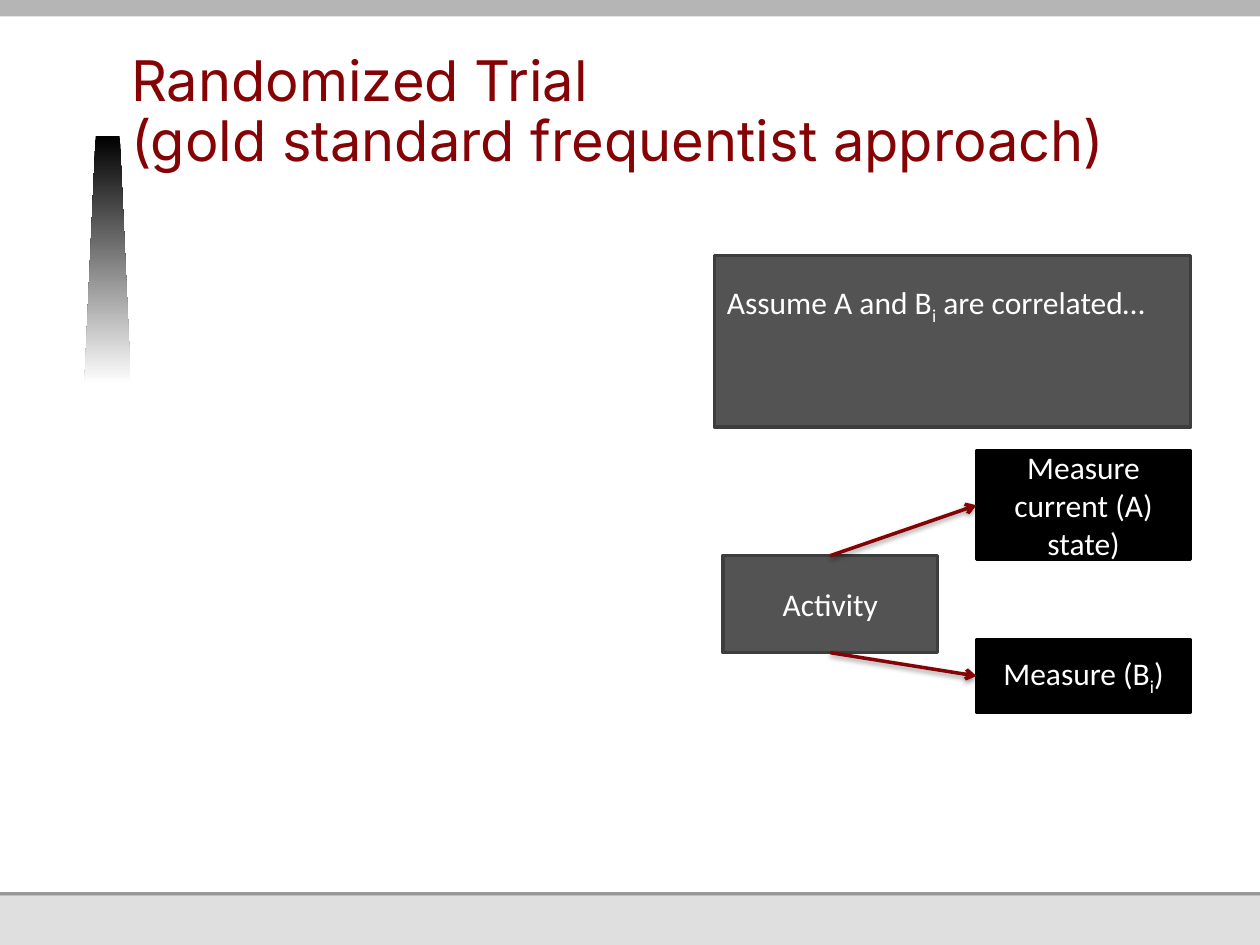
"""Build the randomized trial slide with its activity and measurement diagram."""
from dataclasses import dataclass

from lxml import etree
from pptx import Presentation
from pptx import util as u
from pptx.dml.color import RGBColor
from pptx.enum import shapes, text
from pptx.oxml import ns

MAROON, WHITE, BLACK = "850205", "FFFFFF", "000000"
GRAY, DARK_GRAY = "535353", "3D3D3D"
SUBSCRIPT = "-25000"
SHADOW = (
    f'<a:effectLst {ns.nsdecls("a")}>'
    '<a:outerShdw blurRad="39370" dist="20320" dir="5400000" rotWithShape="0">'
    f'<a:srgbClr val="{BLACK}"><a:alpha val="38000"/></a:srgbClr>'
    '</a:outerShdw></a:effectLst>'
)


@dataclass
class Band:
    top: float
    height: float
    fill: str


@dataclass
class Box:
    left: float
    top: float
    width: float
    height: float
    fill: str
    outline: str
    words: list[tuple[str, bool]]
    align: text.PP_ALIGN = text.PP_ALIGN.CENTER
    anchor: text.MSO_ANCHOR = text.MSO_ANCHOR.MIDDLE
    top_margin: float = 0.05


def color(value: str) -> RGBColor:
    return RGBColor.from_string(value)


def add_run(paragraph, words: str, font: str, size: int, fill: str, sub: bool = False) -> None:
    run = paragraph.add_run()
    run.text = words
    run.font.name = font
    run.font.size = u.Pt(size)
    run.font.color.rgb = color(fill)
    if sub:
        run.font._element.set("baseline", SUBSCRIPT)


def add_rect(slide, left: float, top: float, width: float, height: float, fill: str):
    rect = slide.shapes.add_shape(
        shapes.MSO_SHAPE.RECTANGLE, *map(u.Inches, (left, top, width, height)))
    rect.shadow.inherit = False
    rect.fill.solid()
    rect.fill.fore_color.rgb = color(fill)
    rect.line.fill.background()
    return rect


def add_beam(slide) -> None:
    corners = [(0.67, 3.05), (0.76, 1.08), (0.95, 1.08), (1.04, 3.05)]
    points = [(u.Inches(x), u.Inches(y)) for x, y in corners]
    outline = slide.shapes.build_freeform(*points[0])
    outline.add_line_segments(points[1:], close=True)
    beam = outline.convert_to_shape()
    beam.shadow.inherit = False
    beam.line.fill.background()
    beam.fill.gradient()
    beam.fill.gradient_angle = 270
    for stop, shade in zip(beam.fill.gradient_stops, (BLACK, WHITE)):
        stop.color.rgb = color(shade)


def add_title(slide, lines: list[str]) -> None:
    title = slide.shapes.title
    title.left, title.top, title.width, title.height = map(u.Inches, (1.04, 0.34, 8.96, 1.08))
    frame = title.text_frame
    frame.auto_size = text.MSO_AUTO_SIZE.NONE
    frame.vertical_anchor = text.MSO_ANCHOR.BOTTOM
    frame.margin_left = frame.margin_top = frame.margin_right = 0
    frame.margin_bottom = u.Inches(0.05)
    heading = frame.paragraphs[0]
    heading.alignment = text.PP_ALIGN.LEFT
    heading.line_spacing = u.Pt(34)
    for index, line in enumerate(lines):
        if index:
            heading.add_line_break()
        add_run(heading, line, "Inter", 32, MAROON)


def add_box(slide, box: Box):
    rect = add_rect(slide, box.left, box.top, box.width, box.height, box.fill)
    rect.line.color.rgb = color(box.outline)
    rect.line.width = u.Pt(2)
    frame = rect.text_frame
    frame.word_wrap = True
    frame.vertical_anchor = box.anchor
    frame.margin_top = u.Inches(box.top_margin)
    label = frame.paragraphs[0]
    label.alignment = box.align
    for words, sub in box.words:
        add_run(label, words, "Calibri", 18, WHITE, sub)
    return rect


def add_arrow(slide, source, source_site: int, target) -> None:
    arrow = slide.shapes.add_connector(shapes.MSO_CONNECTOR.STRAIGHT, 0, 0, 0, 0)
    arrow.begin_connect(source, source_site)
    arrow.end_connect(target, 1)
    arrow.line.color.rgb = color(MAROON)
    arrow.line.width = u.Pt(2)
    etree.SubElement(arrow.line._get_or_add_ln(), ns.qn("a:tailEnd"), type="arrow")
    arrow._element.spPr.append(etree.fromstring(SHADOW))


def main() -> None:
    deck = Presentation()
    deck.slide_width, deck.slide_height = u.Inches(10), u.Inches(7.5)
    slide = deck.slides.add_slide(deck.slide_layouts[5])

    for band in (Band(0, 0.13, "B5B5B5"), Band(7.08, 0.03, "989898"), Band(7.11, 0.39, "DFDFDF")):
        add_rect(slide, 0, band.top, 10, band.height, band.fill)
    add_beam(slide)
    add_title(slide, ["Randomized Trial ", "(gold standard frequentist approach)"])

    activity = add_box(slide, Box(
        5.74, 4.41, 1.7, 0.77, GRAY, DARK_GRAY, [("Activity", False)]))
    current_state = add_box(slide, Box(
        7.75, 3.58, 1.7, 0.86, BLACK, BLACK, [("Measure current (A) state)", False)]))
    measure_b = add_box(slide, Box(
        7.75, 5.08, 1.7, 0.57, BLACK, BLACK,
        [("Measure (B", False), ("i", True), (")", False)]))
    add_arrow(slide, activity, 0, current_state)
    add_arrow(slide, activity, 2, measure_b)
    add_box(slide, Box(
        5.67, 2.03, 3.78, 1.36, GRAY, DARK_GRAY,
        [("Assume A and B", False), ("i", True), (" are correlated…", False)],
        text.PP_ALIGN.LEFT, text.MSO_ANCHOR.TOP, 0.22))

    deck.save("out.pptx")


if __name__ == "__main__":
    main()
